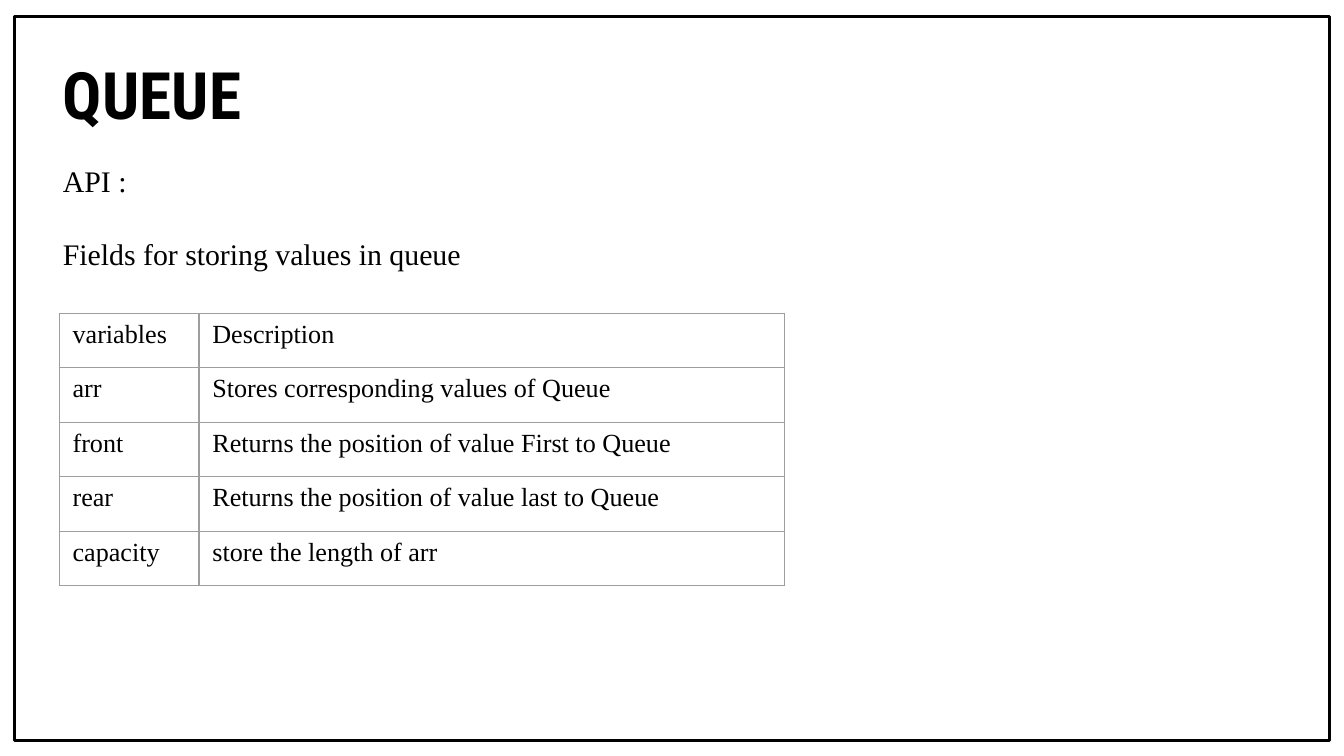
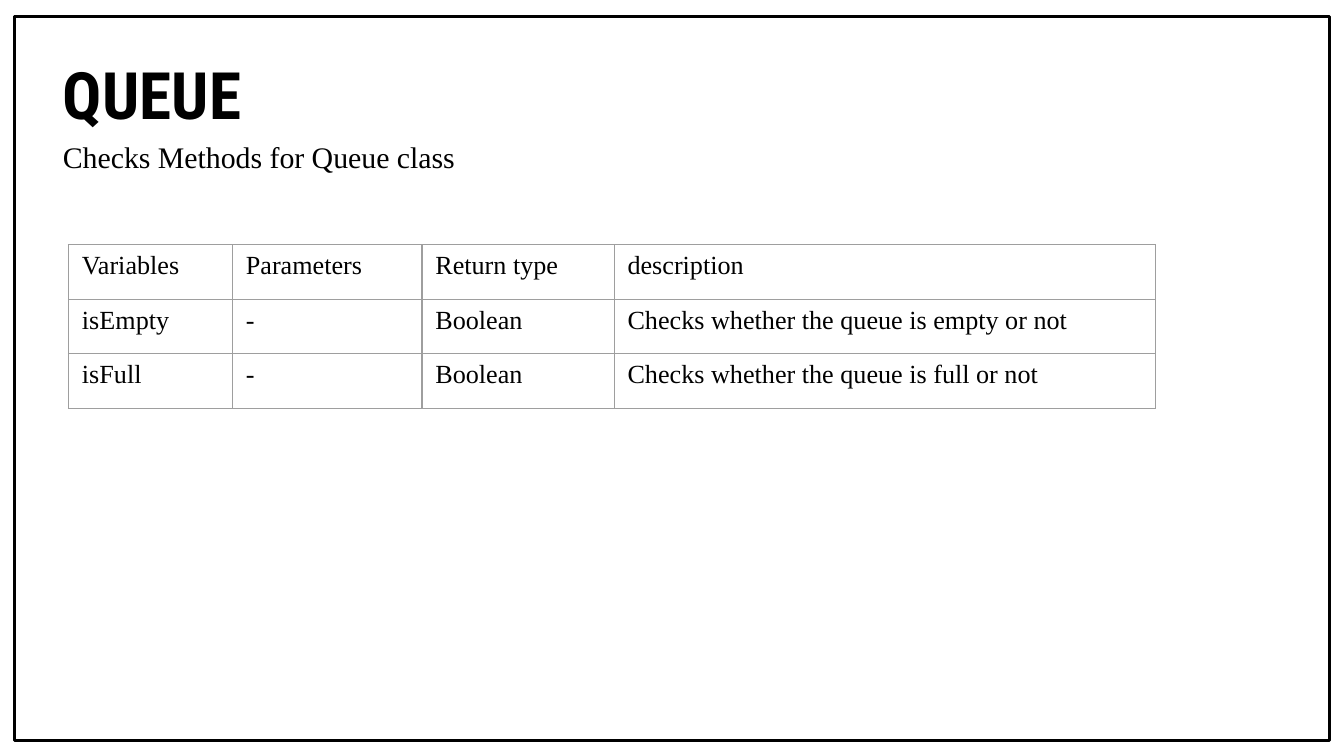
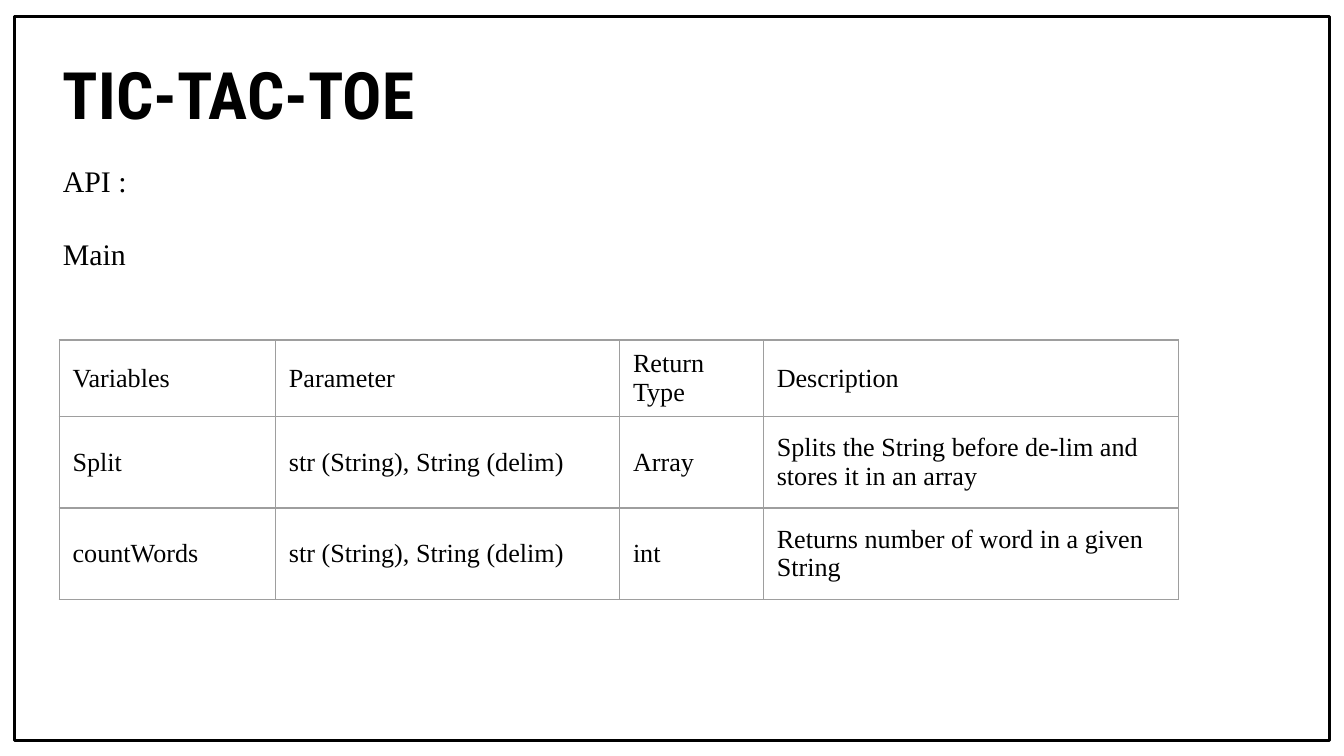
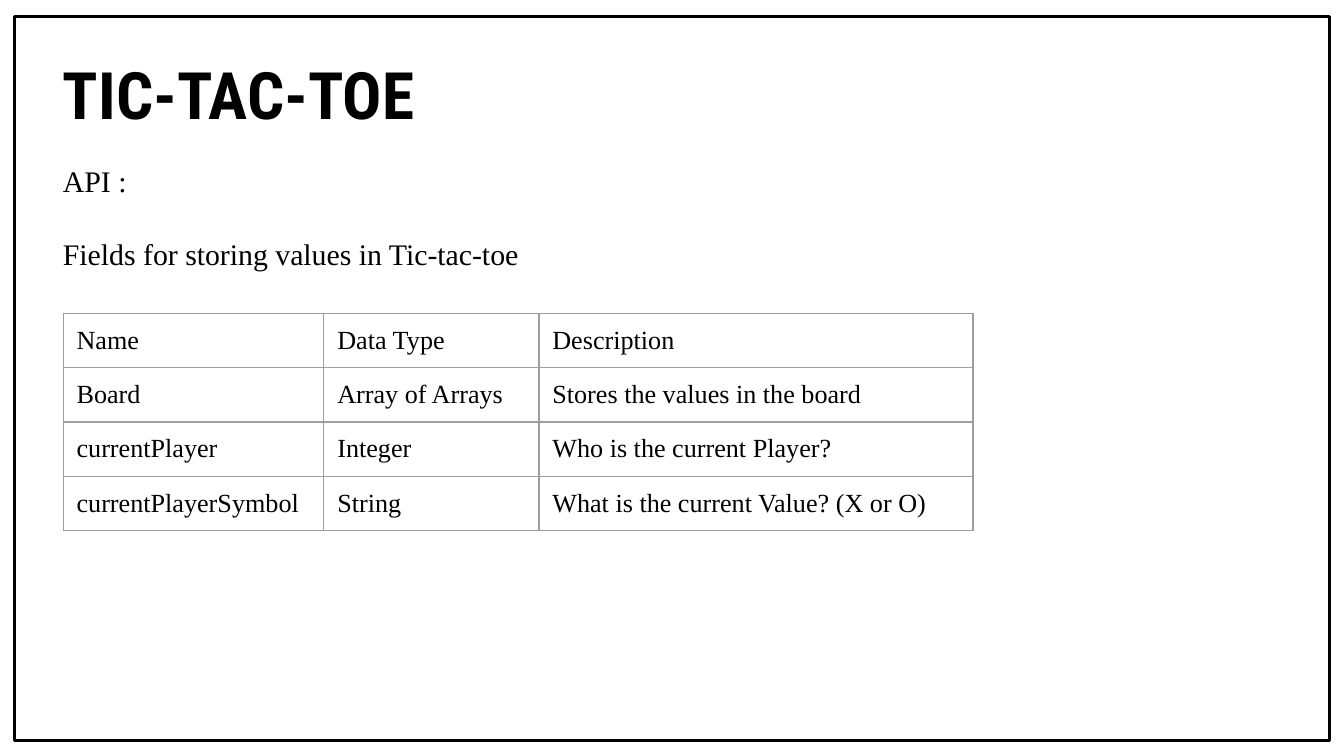
import pptx
import pptx.util
import pptx.dml.color
import pptx.enum.shapes
import pptx.enum.text
import pptx.oxml.ns
from lxml import etree

Inches, Pt = pptx.util.Inches, pptx.util.Pt
RGBColor = pptx.dml.color.RGBColor
ANCHOR = pptx.enum.text.MSO_ANCHOR
qn = pptx.oxml.ns.qn

BLACK = RGBColor(0x00, 0x00, 0x00)
WHITE = RGBColor(0xFF, 0xFF, 0xFF)
GRID = RGBColor(0x9E, 0x9E, 0x9E)
TITLE_FONT = "Roboto Condensed"
BODY_FONT = "Times New Roman"

# Content: title, intro lines with their box, table with its place and sizes
SLIDES = [
    dict(
        title="QUEUE",
        intro=["API :", "Fields for storing values in queue"],
        intro_box=(0.37, 1.16, 5.1, 1.18),
        table_at=(0.44, 2.33), cols=[1.04, 4.36], row_heights=[2.03 / 5] * 5,
        anchor=ANCHOR.TOP,
        rows=[
            ("variables", "Description"),
            ("arr", "Stores corresponding values of Queue"),
            ("front", "Returns the position of value First to Queue"),
            ("rear", "Returns the position of value last to Queue"),
            ("capacity", "store the length of arr"),
        ],
    ),
    dict(
        title="QUEUE",
        intro=["Checks Methods for Queue class"],
        intro_box=(0.37, 0.98, 5.1, 0.64),
        table_at=(0.51, 1.82), cols=[1.22, 1.41, 1.43, 4.03], row_heights=[1.22 / 3] * 3,
        anchor=ANCHOR.TOP,
        rows=[
            ("Variables", "Parameters", "Return type", "description"),
            ("isEmpty", "-", "Boolean", "Checks whether the queue is empty or not"),
            ("isFull", "-", "Boolean", "Checks whether the queue is full or not"),
        ],
    ),
    dict(
        title="TIC-TAC-TOE",
        intro=["API :", "Main"],
        intro_box=(0.37, 1.16, 2.89, 1.18),
        table_at=(0.44, 2.53), cols=[1.61, 2.56, 1.07, 3.09], row_heights=[0.57, 0.68, 0.68],
        anchor=ANCHOR.MIDDLE,
        rows=[
            ("Variables", "Parameter", "Return\nType", "Description"),
            ("Split", "str (String), String (delim)", "Array",
             "Splits the String before de-lim and\nstores it in an array"),
            ("countWords", "str (String), String (delim)", "int",
             "Returns number of word in a given\nString"),
        ],
    ),
    dict(
        title="TIC-TAC-TOE",
        intro=["API :", "Fields for storing values in Tic-tac-toe"],
        intro_box=(0.37, 1.16, 3.74, 1.18),
        table_at=(0.47, 2.33), cols=[1.94, 1.6, 3.23], row_heights=[1.62 / 4] * 4,
        anchor=ANCHOR.MIDDLE,
        rows=[
            ("Name", "Data Type", "Description"),
            ("Board", "Array of Arrays", "Stores the values in the board"),
            ("currentPlayer", "Integer", "Who is the current Player?"),
            ("currentPlayerSymbol", "String", "What is the current Value? (X or O)"),
        ],
    ),
]


def write(tf, lines, size=14, font=BODY_FONT, bold=False, gap=0):
    """Fill a text frame, one paragraph a line, with gap points between them."""
    tf.word_wrap = True
    for i, line in enumerate(lines):
        p = tf.add_paragraph() if i else tf.paragraphs[0]
        p.text = line
        if i and gap:
            p.space_before = Pt(gap)
        for r in p.runs:
            r.font.size, r.font.name, r.font.bold = Pt(size), font, bold
            r.font.color.rgb = BLACK


def add_frame(s):
    sp = s.shapes.add_shape(pptx.enum.shapes.MSO_SHAPE.RECTANGLE,
                            Inches(0.11), Inches(0.12), Inches(9.78), Inches(5.39))
    sp.shadow.inherit = False
    sp.fill.background()
    sp.line.color.rgb = BLACK
    sp.line.width = Pt(1.5)


def add_title(s, title):
    tf = s.shapes.add_textbox(Inches(0.37), Inches(0.3), Inches(4.19), Inches(0.63)).text_frame
    tf.margin_top = tf.margin_bottom = Inches(0.1)
    write(tf, [title], size=35, font=TITLE_FONT, bold=True)


def add_intro(s, lines, box):
    tf = s.shapes.add_textbox(*map(Inches, box)).text_frame
    write(tf, lines, size=16, gap=20)
    tf.auto_size = pptx.enum.text.MSO_AUTO_SIZE.SHAPE_TO_FIT_TEXT


def set_borders(cell):
    tc_pr = cell._tc.get_or_add_tcPr()
    for i, side in enumerate(("a:lnL", "a:lnR", "a:lnT", "a:lnB")):
        ln = etree.Element(qn(side), w=str(Pt(0.75)))
        fill = etree.SubElement(ln, qn("a:solidFill"))
        etree.SubElement(fill, qn("a:srgbClr"), val=str(GRID))
        tc_pr.insert(i, ln)


def add_grid(s, rows, at, cols, row_heights, anchor):
    left, top = at
    table = s.shapes.add_table(len(rows), len(cols), Inches(left), Inches(top),
                               Inches(sum(cols)), Inches(sum(row_heights))).table
    table.first_row = table.horz_banding = False
    for col, width in zip(table.columns, cols):
        col.width = Inches(width)
    for row, height, texts in zip(table.rows, row_heights, rows):
        row.height = Inches(height)
        for cell, text in zip(row.cells, texts):
            write(cell.text_frame, [text])
            cell.vertical_anchor = anchor
            cell.fill.background()
            set_borders(cell)


def main():
    prs = pptx.Presentation()
    prs.slide_width = Inches(10)
    prs.slide_height = prs.slide_width * 9 // 16
    for page in SLIDES:
        s = prs.slides.add_slide(prs.slide_layouts[6])
        s.background.fill.solid()
        s.background.fill.fore_color.rgb = WHITE
        add_frame(s)
        add_title(s, page["title"])
        add_intro(s, page["intro"], page["intro_box"])
        add_grid(s, page["rows"], page["table_at"], page["cols"],
                 page["row_heights"], page["anchor"])
    prs.save("out.pptx")


if __name__ == "__main__":
    main()
